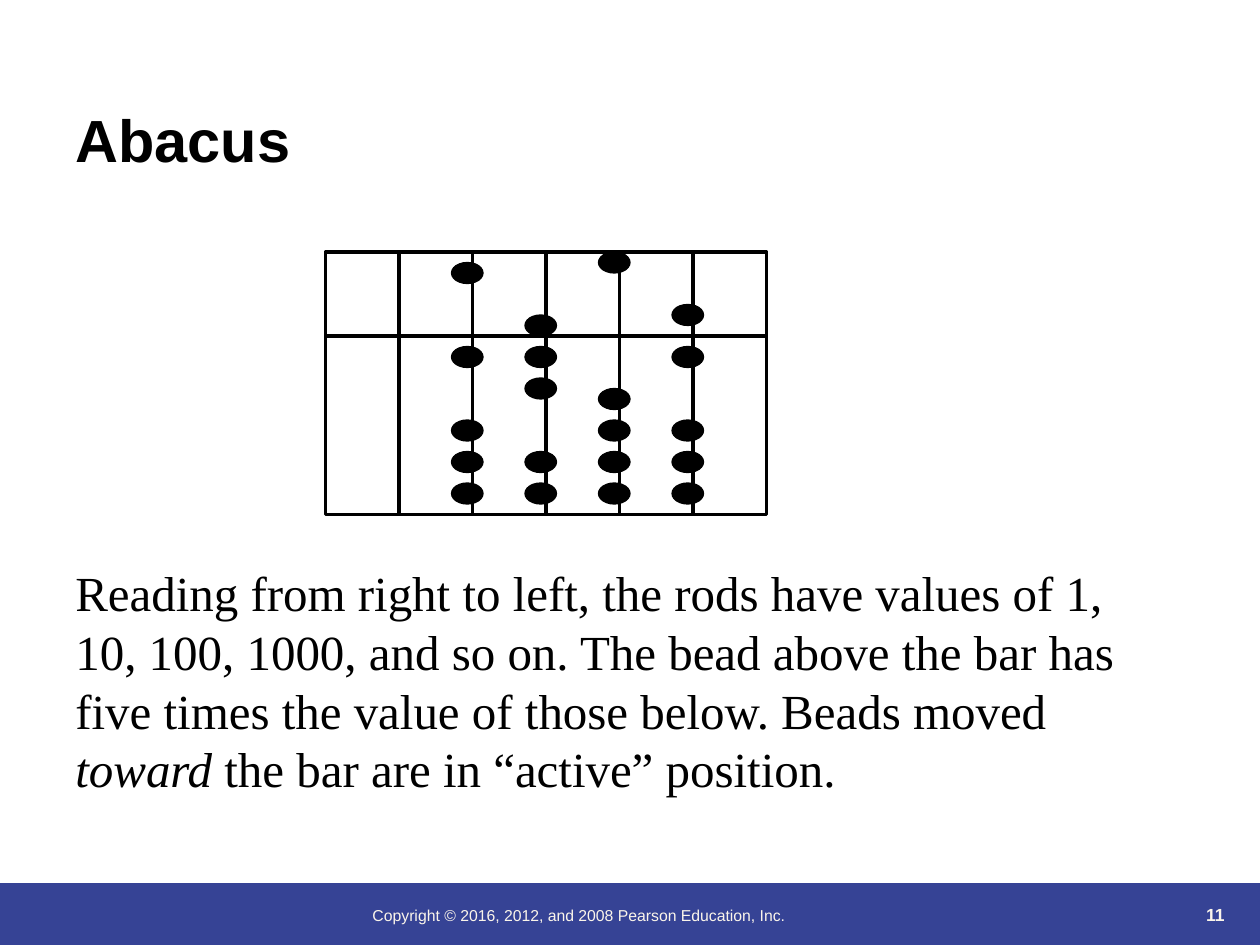
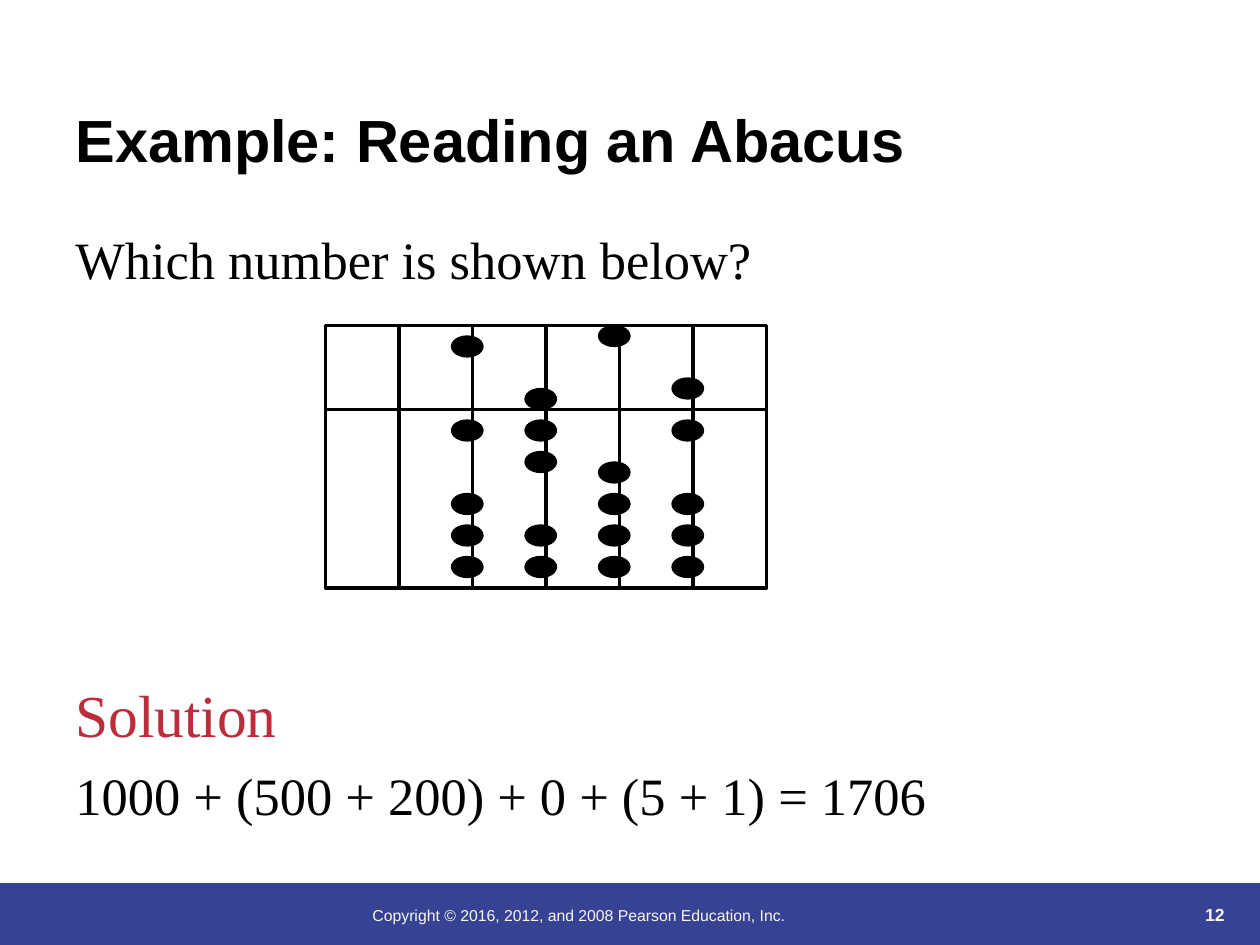
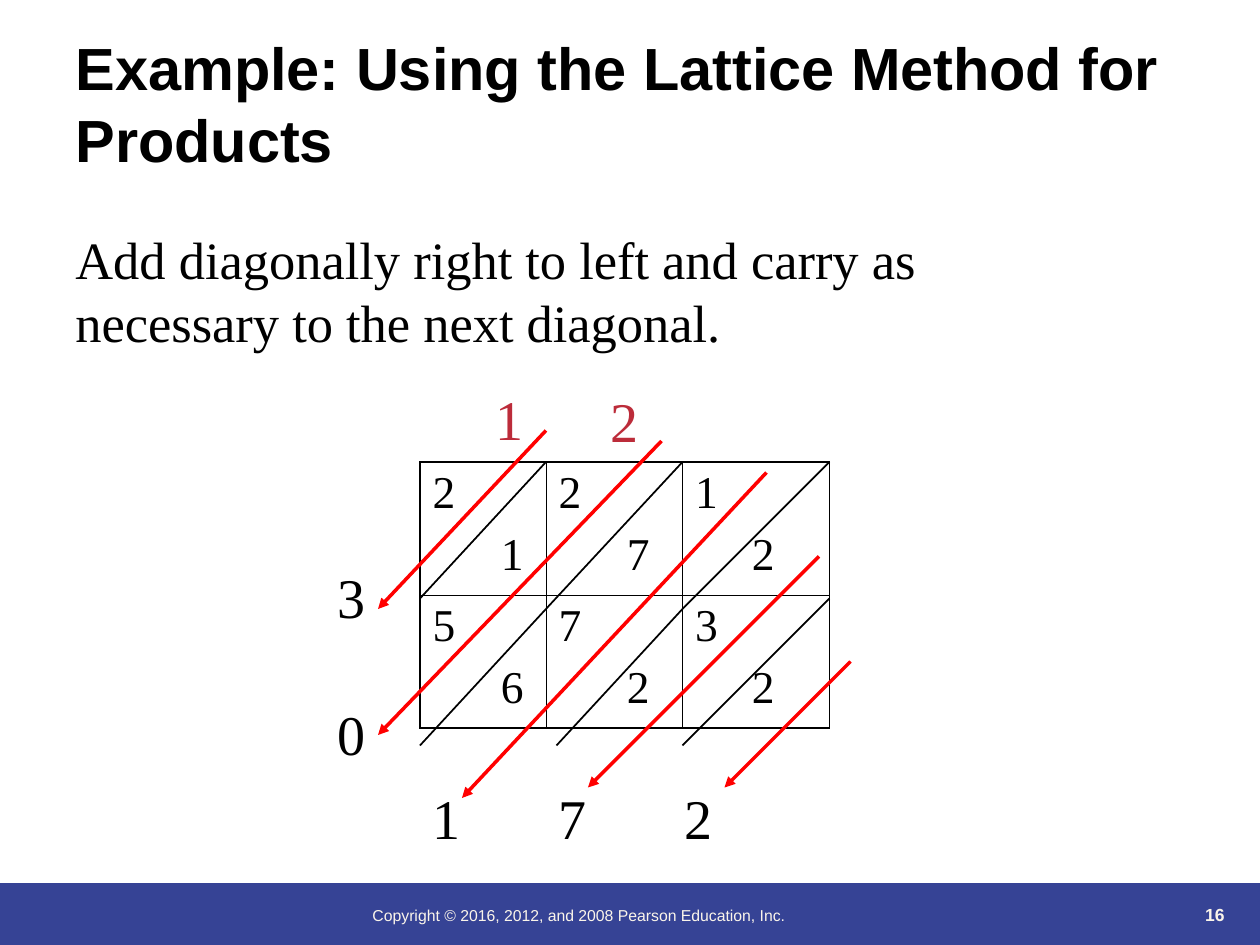
import pptx
import pptx.dml.color
import pptx.enum.shapes
import pptx.enum.text
import pptx.oxml
import pptx.oxml.ns
import pptx.util
from lxml import etree

COLORS = {
    "ink": "000000",
    "band": "364395",
    "band_text": "FBF5EA",
    "accent": "BC2C3A",
    "arrow": "FF0000",
}
SANS, SERIF = "Arial", "Times New Roman"
COLUMNS, ROWS = 120, 90
LEADING = 1.2
COPYRIGHT = "Copyright © 2016, 2012, and 2008 Pearson Education, Inc."

ABACUS_LEFT, ABACUS_WIDTH, ABACUS_HEIGHT = 31, 42, 25
ROD_GAP, ROD_COUNT, BAR_DROP = 7, 5, 8
BEAD_DROPS = {
    2: (1, 9, 16, 19, 22),
    3: (6, 9, 12, 19, 22),
    4: (0, 13, 16, 19, 22),
    5: (5, 9, 16, 19, 22),
}

LATTICE_COLUMNS = (12, 13, 14)
LATTICE_ROW = 12.67
LATTICE_INDENTS = (39, 39, 32.5)
LATTICE_DIGITS = ((("2", "1"), ("2", "7"), ("1", "2")),
                  (("5", "6"), ("7", "2"), ("3", "2")))
DIAGONALS = (
    (40, 57, 52, 44), (52, 58, 65, 44), (40, 71, 52, 58),
    (65, 71, 79, 57), (53, 71, 65, 58), (65, 58, 79, 44),
)
SUM_ARROWS = (
    (81, 63, 69, 75), (78, 53, 56, 75), (73, 45, 44, 76),
    (63, 42, 36, 70), (52, 41, 36, 58),
)
SUM_DIGITS = (("3", 31, 53, "ink"), ("0", 31, 66, "ink"),
              ("1", 46, 36, "accent"), ("2", 57, 36.2, "accent"))


def grid(*steps):
    return [pptx.util.Inches(step / 12) for step in steps]


def color(name):
    return pptx.dml.color.RGBColor.from_string(COLORS[name])


def add_span(para, text, size, font=SERIF, ink="ink", bold=False, italic=False):
    span = para.add_run()
    span.text = text
    span.font.size = pptx.util.Pt(size)
    span.font.name = font
    span.font.bold = bold
    span.font.italic = italic
    span.font.color.rgb = color(ink)


def add_text(page, place, text, size, **style):
    box = page.shapes.add_textbox(*grid(*place))
    box.text_frame.word_wrap = True
    para = box.text_frame.paragraphs[0]
    para.line_spacing = pptx.util.Pt(size * LEADING)
    add_span(para, text, size, **style)
    return box


def add_shape(page, kind, place, fill=None, line=None, width=0.75):
    shape = page.shapes.add_shape(kind, *grid(*place))
    shape.shadow.inherit = False
    if fill:
        shape.fill.solid()
        shape.fill.fore_color.rgb = color(fill)
    else:
        shape.fill.background()
    if line:
        shape.line.color.rgb = color(line)
        shape.line.width = pptx.util.Pt(width)
    else:
        shape.line.fill.background()
    return shape


def add_line(page, ends, ink="ink", width=2, arrow=False):
    line = page.shapes.add_connector(
        pptx.enum.shapes.MSO_CONNECTOR.STRAIGHT, *grid(*ends))
    line.line.color.rgb = color(ink)
    line.line.width = pptx.util.Pt(width)
    properties = line._element.spPr
    if arrow:
        outline = properties.find(pptx.oxml.ns.qn("a:ln"))
        etree.SubElement(outline, pptx.oxml.ns.qn("a:tailEnd"), type="triangle")
    etree.SubElement(properties, pptx.oxml.ns.qn("a:effectLst"))
    return line


def add_footer(page, number):
    add_shape(page, pptx.enum.shapes.MSO_SHAPE.RECTANGLE,
              (0, 84.1, COLUMNS, ROWS - 84.1), fill="band")
    add_text(page, (34.3, 85.7, 59, 6), COPYRIGHT, 9, font=SANS, ink="band_text")
    box = add_text(page, (106.8, 82.7, 11, 6), str(number), 10,
                   font=SANS, ink="band_text", bold=True)
    box.text_frame.vertical_anchor = pptx.enum.text.MSO_ANCHOR.BOTTOM
    box.text_frame.paragraphs[0].alignment = pptx.enum.text.PP_ALIGN.RIGHT


def add_page(deck, title, number):
    page = deck.slides.add_slide(deck.slide_layouts.get_by_name("Title Only"))
    add_footer(page, number)
    holder = page.shapes.title
    holder.left, holder.top, holder.width, holder.height = grid(6, 2.2, 108, 15)
    frame = holder.text_frame
    frame.word_wrap = True
    frame.auto_size = pptx.enum.text.MSO_AUTO_SIZE.NONE
    frame.vertical_anchor = pptx.enum.text.MSO_ANCHOR.BOTTOM
    para = frame.paragraphs[0]
    para.alignment = pptx.enum.text.PP_ALIGN.LEFT
    para.line_spacing = pptx.util.Pt(34 * LEADING)
    add_span(para, title, 34, font=SANS, bold=True)
    return page


def add_abacus(page, top):
    frame = add_shape(page, pptx.enum.shapes.MSO_SHAPE.RECTANGLE,
                      (ABACUS_LEFT, top, ABACUS_WIDTH, ABACUS_HEIGHT),
                      line="ink", width=2)
    for rod in range(1, ROD_COUNT + 1):
        across = ABACUS_LEFT + rod * ROD_GAP
        line = add_line(page, (across, top, across, top + ABACUS_HEIGHT))
        if rod * ROD_GAP * 2 == ABACUS_WIDTH:
            line.begin_connect(frame, 0)
            line.end_connect(frame, 2)
    bar = top + BAR_DROP
    add_line(page, (ABACUS_LEFT, bar, ABACUS_LEFT + ABACUS_WIDTH, bar))
    for rod, drops in BEAD_DROPS.items():
        for drop in drops:
            add_shape(page, pptx.enum.shapes.MSO_SHAPE.OVAL,
                      (ABACUS_LEFT + rod * ROD_GAP - 2, top + drop, 3, 2),
                      fill="ink", line="ink")


def set_borders(cell, widths):
    properties = cell._tc.get_or_add_tcPr()
    for place, (side, width) in enumerate(widths.items()):
        properties.insert(place, pptx.oxml.parse_xml(
            f'<a:ln{side} {pptx.oxml.ns.nsdecls("a")} w="{pptx.util.Pt(width)}">'
            f'<a:solidFill><a:srgbClr val="{COLORS["ink"]}"/></a:solidFill>'
            f'</a:ln{side}>'))


def add_lattice(page):
    row_count, column_count = len(LATTICE_DIGITS), len(LATTICE_COLUMNS)
    table = page.shapes.add_table(
        row_count, column_count,
        *grid(40, 44, sum(LATTICE_COLUMNS), row_count * LATTICE_ROW)).table
    table.first_row = table.horz_banding = False
    for column, width in zip(table.columns, grid(*LATTICE_COLUMNS)):
        column.width = width
    for row, digits in enumerate(LATTICE_DIGITS):
        table.rows[row].height = grid(LATTICE_ROW)[0]
        for column, (upper, lower) in enumerate(digits):
            cell = table.cell(row, column)
            cell.fill.background()
            outer = {"L": column == 0, "R": column == column_count - 1,
                     "T": row == 0, "B": row == row_count - 1}
            set_borders(cell, {side: 1.08 if edge else 0.45
                               for side, edge in outer.items()})
            add_span(cell.text_frame.paragraphs[0], upper, 26)
            para = cell.text_frame.add_paragraph()
            para.space_before = pptx.util.Pt(6.5)
            indent = pptx.util.Pt(LATTICE_INDENTS[column])
            para._p.get_or_add_pPr().set("marL", str(indent))
            add_span(para, lower, 26)


def add_tab_stops(para, *inches):
    stops = etree.SubElement(para._p.get_or_add_pPr(), pptx.oxml.ns.qn("a:tabLst"))
    for stop in inches:
        etree.SubElement(stops, pptx.oxml.ns.qn("a:tab"),
                         pos=str(pptx.util.Inches(stop)), algn="l")


def build_abacus(deck):
    page = add_page(deck, "Abacus", 11)
    box = add_text(page, (6, 53, 103, 23.6),
                   "Reading from right to left, the rods have values of 1, 10, 100, "
                   "1000, and so on. The bead above the bar has five times the value "
                   "of those below. Beads moved ", 28)
    para = box.text_frame.paragraphs[0]
    add_span(para, "toward", 28, italic=True)
    add_span(para, " the bar are in “active” position.", 28)
    add_abacus(page, 24)


def build_reading(deck):
    page = add_page(deck, "Example: Reading an Abacus", 12)
    add_text(page, (6, 21, 98, 7.2), "Which number is shown below?", 30)
    add_abacus(page, 31)
    box = add_text(page, (6, 64, 99, 15.2), "Solution", 34, ink="accent")
    para = box.text_frame.add_paragraph()
    para.space_before = pptx.util.Pt(7.5)
    para.line_spacing = pptx.util.Pt(30 * LEADING)
    add_span(para, "1000 + (500 + 200) + 0 + (5 + 1) = 1706", 30)


def build_lattice(deck):
    page = add_page(deck, "Example: Using the Lattice Method for Products", 16)
    add_text(page, (6, 21, 97, 13.2),
             "Add diagonally right to left and carry as necessary "
             "to the next diagonal.", 30)
    add_lattice(page)
    for ends in DIAGONALS:
        add_line(page, ends, width=1)
    box = add_text(page, (40, 74, 44, 7.7), "1\t7\t2", 32)
    add_tab_stops(box.text_frame.paragraphs[0], 1, 2)
    for ends in SUM_ARROWS:
        add_line(page, ends, ink="arrow", arrow=True)
    for digit, left, top, ink in SUM_DIGITS:
        add_text(page, (left, top, 6, 7.7), digit, 32, ink=ink)


def main():
    deck = pptx.Presentation()
    deck.slide_width, deck.slide_height = grid(COLUMNS, ROWS)
    build_abacus(deck)
    build_reading(deck)
    build_lattice(deck)
    deck.save("out.pptx")


if __name__ == "__main__":
    main()
